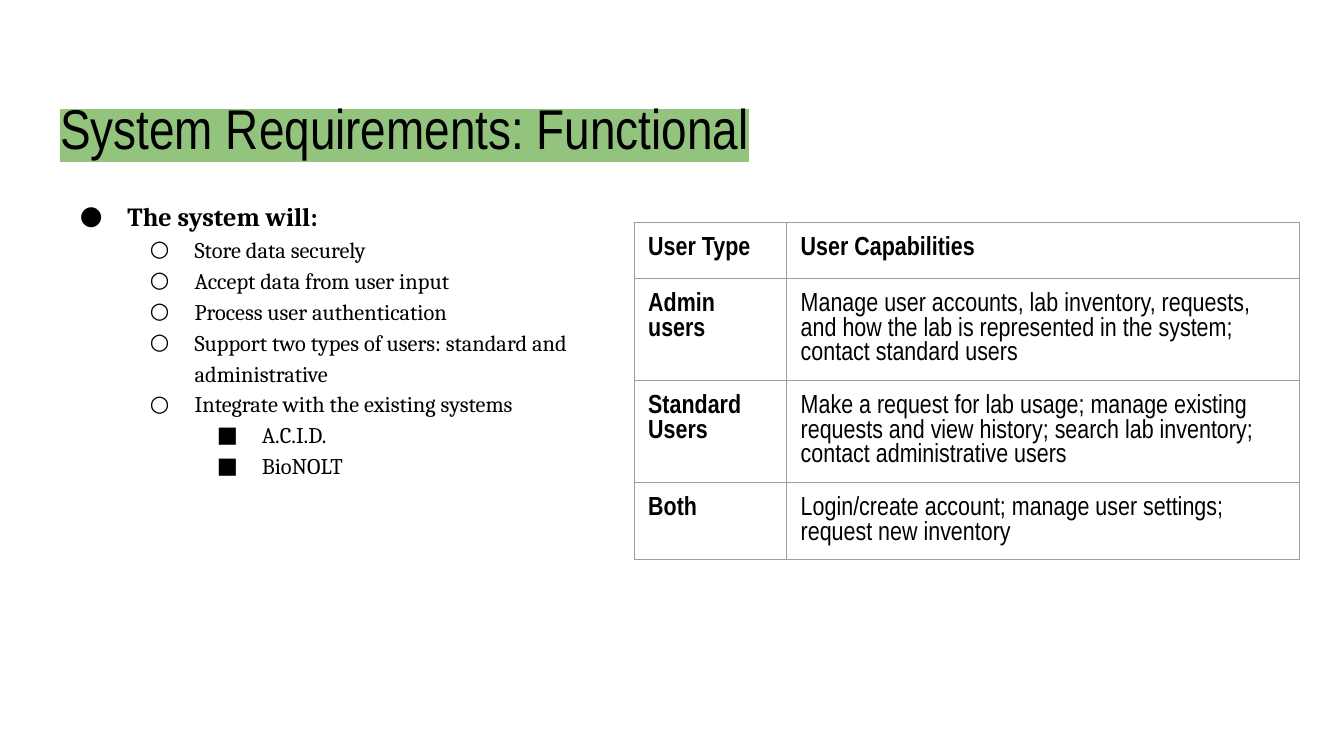
from lxml import etree
from pptx import Presentation
from pptx.dml.color import RGBColor
from pptx.enum.text import MSO_ANCHOR, MSO_AUTO_SIZE, PP_ALIGN
from pptx.oxml.ns import qn
from pptx.util import Pt

TOP, LEFT, NO_FIT = MSO_ANCHOR.TOP, PP_ALIGN.LEFT, MSO_AUTO_SIZE.NONE
SCALE = 9525
INSET = 10
COLORS = {"text": "000000", "highlight": "93C47D", "border": "9E9E9E"}
HEADING_FONT, LIST_FONT = "Arial Narrow", "Cambria"
LEVELS = [("●", 34), ("○", 32), ("■", 32)]

REQUIREMENTS = [
    (0, "The system will:"),
    (1, "Store data securely"),
    (1, "Accept data from user input"),
    (1, "Process user authentication"),
    (1, "Support two types of users: standard and administrative"),
    (1, "Integrate with the existing systems"),
    (2, "A.C.I.D."),
    (2, "BioNOLT"),
]
CAPABILITIES = [
    ("User Type", "User Capabilities"),
    ("Admin users", "Manage user accounts, lab inventory, requests, and how the lab "
     "is represented in the system; contact standard users"),
    ("Standard Users", "Make a request for lab usage; manage existing requests and view "
     "history; search lab inventory; contact administrative users"),
    ("Both", "Login/create account; manage user settings; request new inventory"),
]


def px(length):
    return length * SCALE


def set_all(target, values):
    for name, value in values.items():
        setattr(target, name, value)


def add_color(parent, name):
    etree.SubElement(parent, qn("a:srgbClr"), val=COLORS[name])


class SlideBuilder:
    """Holds the text style and the current slide, and adds each kind of element."""

    def __init__(self, deck):
        self.slide = deck.slides.add_slide(deck.slide_layouts[1])
        self.margins = {f"margin_{side}": px(INSET)
                        for side in ("left", "top", "right", "bottom")}

    def add_text(self, paragraph, text, font, size, bold=False):
        set_all(paragraph, {"alignment": LEFT, "space_before": Pt(0), "space_after": Pt(0)})
        run = paragraph.add_run()
        run.text = text
        set_all(run.font, {"name": font, "size": Pt(size), "bold": bold})
        run.font.color.rgb = RGBColor.from_string(COLORS["text"])
        return run

    def place(self, holder, left, top, width, height):
        set_all(holder, {"left": px(left), "top": px(top),
                         "width": px(width), "height": px(height)})
        frame = holder.text_frame
        set_all(frame, {"word_wrap": True, "auto_size": NO_FIT,
                        "vertical_anchor": TOP, **self.margins})
        return frame

    def title(self, text, *box):
        frame = self.place(self.slide.shapes.title, *box)
        set_all(frame, {"margin_top": px(2 * INSET), "margin_bottom": 0})
        run = self.add_text(frame.paragraphs[0], text, HEADING_FONT, 30)
        highlight = etree.Element(qn("a:highlight"))
        add_color(highlight, "highlight")
        run._r.get_or_add_rPr().find(qn("a:solidFill")).addnext(highlight)

    def bullets(self, items, *box):
        frame = self.place(self.slide.placeholders[1], *box)
        for index, (level, text) in enumerate(items):
            paragraph = frame.add_paragraph() if index else frame.paragraphs[0]
            top_level = level == 0
            self.add_text(paragraph, text, LIST_FONT, 14 if top_level else 12, top_level)
            set_all(paragraph, {"level": level, "line_spacing": 1.15})
            mark, hanging = LEVELS[level]
            props = paragraph._p.get_or_add_pPr()
            props.set("marL", str(px(48 * (level + 1))))
            props.set("indent", str(px(-hanging)))
            add_color(etree.SubElement(props, qn("a:buClr")), "text")
            etree.SubElement(props, qn("a:buFont"), typeface=LIST_FONT)
            etree.SubElement(props, qn("a:buChar"), char=mark)

    def borders(self, cell):
        props = cell._tc.get_or_add_tcPr()
        for index, side in enumerate(("lnL", "lnR", "lnT", "lnB")):
            line = etree.Element(qn(f"a:{side}"), w=str(Pt(0.75)))
            add_color(etree.SubElement(line, qn("a:solidFill")), "border")
            props.insert(index, line)

    def table(self, rows, left, top, widths, row_height):
        grid = self.slide.shapes.add_table(
            len(rows), len(widths), px(left), px(top),
            px(sum(widths)), px(row_height * len(rows))).table
        set_all(grid, {"first_row": False, "horz_banding": False})
        for column, width in zip(grid.columns, widths):
            column.width = px(width)
        for r, texts in enumerate(rows):
            for c, text in enumerate(texts):
                cell = grid.cell(r, c)
                set_all(cell, {"vertical_anchor": TOP, **self.margins})
                cell.fill.background()
                self.borders(cell)
                self.add_text(cell.text_frame.paragraphs[0], text, HEADING_FONT, 14,
                              r == 0 or c == 0)


def main():
    deck = Presentation()
    set_all(deck, {"slide_width": px(960), "slide_height": px(540)})
    builder = SlideBuilder(deck)
    builder.title("System Requirements: Functional", 33, 47, 895, 60)
    builder.bullets(REQUIREMENTS, 33, 130, 420, 350)
    builder.table(CAPABILITIES, 453, 159, (109, 366), 40)
    deck.save("out.pptx")


if __name__ == "__main__":
    main()
